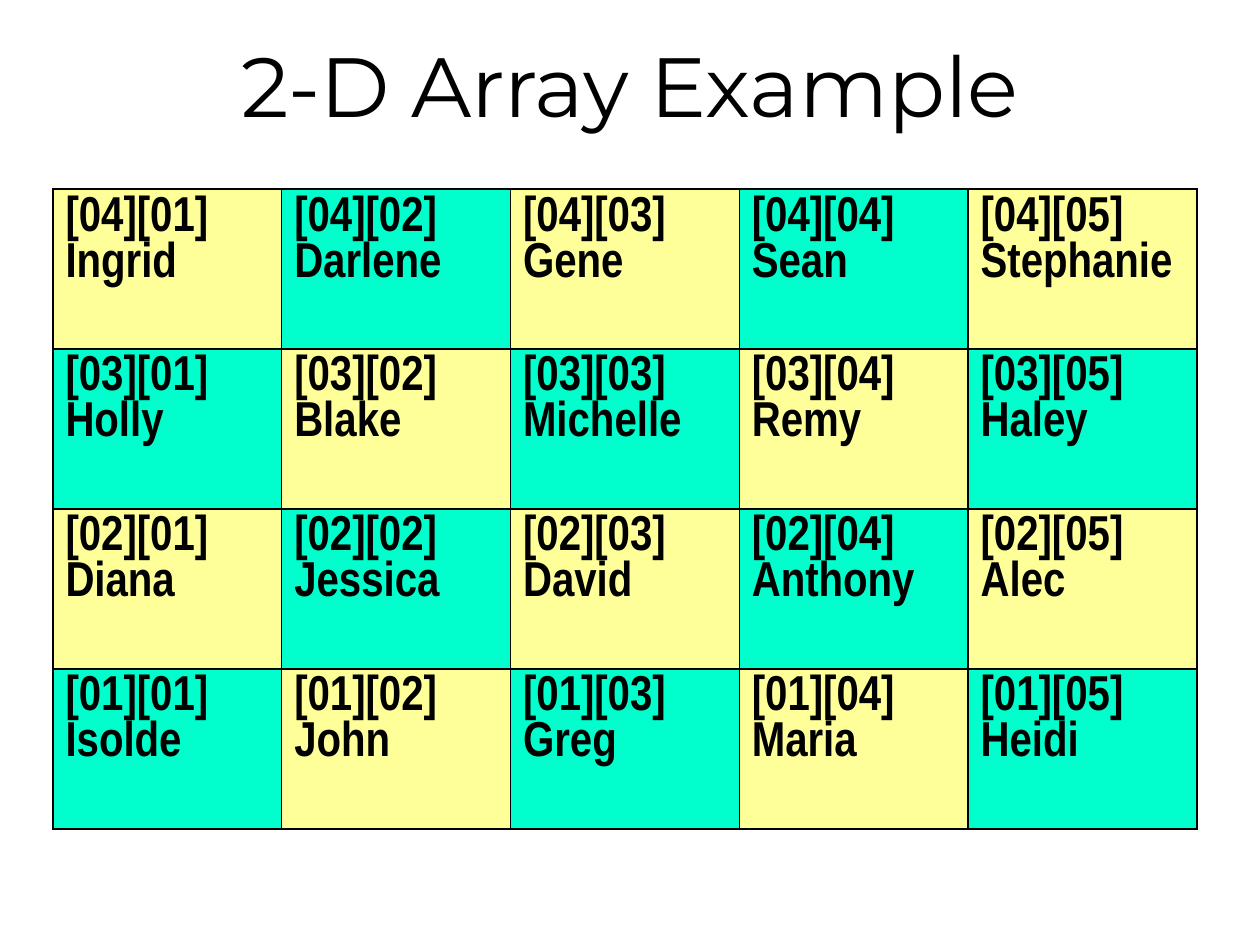
from lxml.etree import SubElement
from pptx import Presentation
from pptx.dml.color import RGBColor
from pptx.enum.text import MSO_ANCHOR, PP_ALIGN
from pptx.oxml.ns import qn
from pptx.util import Inches, Pt

COLORS = {"text": "000000", "border": "000000", "yellow": "FFFF99", "mint": "00FFCC"}
NAMES = [
    ["Ingrid", "Darlene", "Gene", "Sean", "Stephanie"],
    ["Holly", "Blake", "Michelle", "Remy", "Haley"],
    ["Diana", "Jessica", "David", "Anthony", "Alec"],
    ["Isolde", "John", "Greg", "Maria", "Heidi"],
]


def format_paragraph(p, font, size, bold=False):
    for r in p.runs:
        r.font.name = font
        r.font.size = Pt(size)
        r.font.bold = bold
        r.font.color.rgb = RGBColor.from_string(COLORS["text"])


def add_borders(cell):
    tc_pr = cell._tc.get_or_add_tcPr()
    for index, side in enumerate(("lnL", "lnR", "lnT", "lnB")):
        ln = tc_pr.makeelement(qn(f"a:{side}"), {"w": str(Pt(1))})
        fill = SubElement(ln, qn("a:solidFill"))
        SubElement(fill, qn("a:srgbClr"), val=COLORS["border"])
        tc_pr.insert(index, ln)


def add_title(s, text, left, top, width, height):
    sp = s.shapes.add_textbox(left, top, width, height)
    tf = sp.text_frame
    tf.word_wrap = True
    tf.vertical_anchor = MSO_ANCHOR.MIDDLE
    tf.text = text
    p = tf.paragraphs[0]
    p.alignment = PP_ALIGN.CENTER
    format_paragraph(p, "Montserrat", 48)


def add_array_table(s, names, left, top, width, height):
    rows, cols = len(names), len(names[0])
    table = s.shapes.add_table(rows, cols, left, top, width, height).table
    table.first_row = False
    table.horz_banding = False
    for i, row in enumerate(names):
        for j, name in enumerate(row):
            cell = table.cell(i, j)
            cell.fill.solid()
            color = "mint" if (i + j) % 2 else "yellow"
            cell.fill.fore_color.rgb = RGBColor.from_string(COLORS[color])
            add_borders(cell)
            cell.text_frame.text = f"[{rows - i:02}][{j + 1:02}]\n{name}"
            for p in cell.text_frame.paragraphs:
                format_paragraph(p, "Arial Narrow", 28, bold=True)


def main():
    prs = Presentation()
    prs.slide_width, prs.slide_height = Inches(10), Inches(7.5)
    s = prs.slides.add_slide(prs.slide_layouts[6])
    add_title(s, "2-D Array Example", 0, 0, prs.slide_width, Inches(1.33))
    add_array_table(s, NAMES, Inches(0.42), Inches(1.5), Inches(9.08), Inches(5.08))
    prs.save("out.pptx")


if __name__ == "__main__":
    main()
